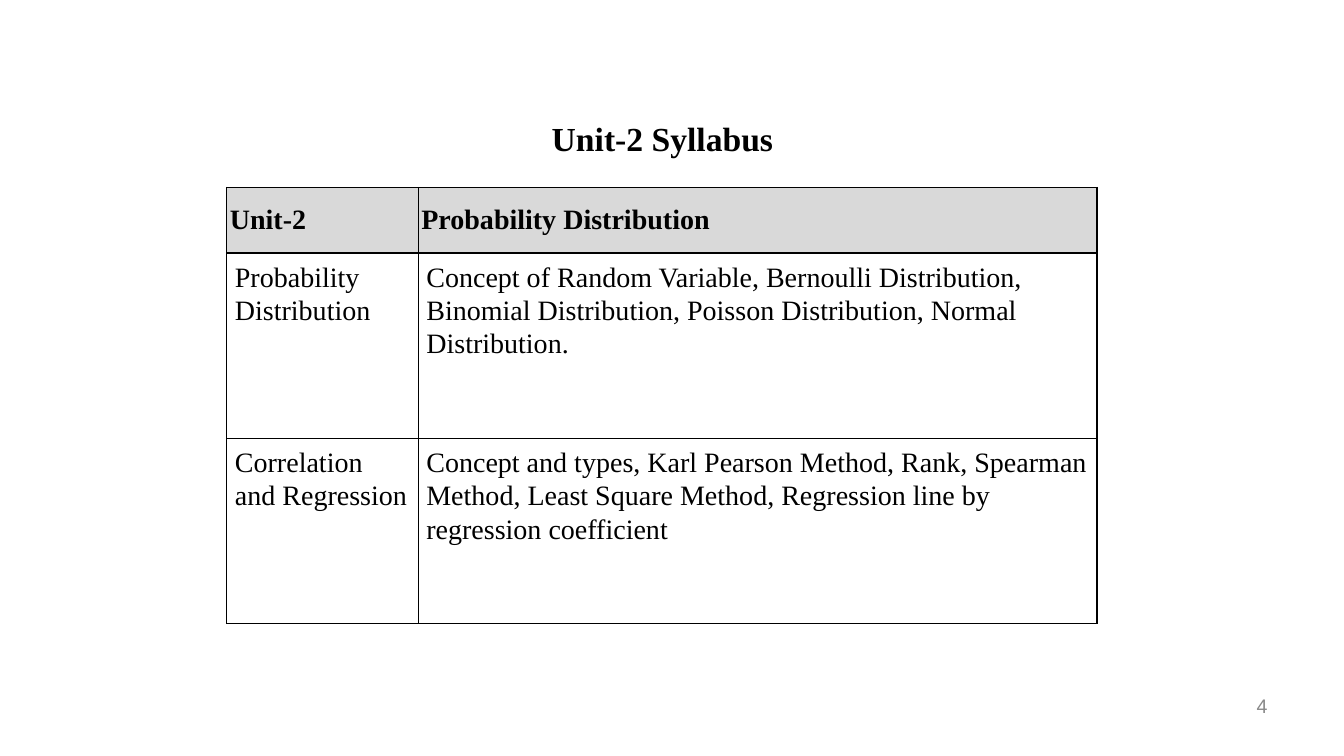
from lxml.etree import SubElement
from pptx import Presentation
from pptx.dml.color import RGBColor
from pptx.enum.text import MSO_ANCHOR as Anchor, PP_ALIGN as Align
from pptx.oxml.ns import qn
from pptx.util import Inches, Pt

COLORS = {"text": "000000", "border": "000000", "header": "D9D9D9", "number": "898989"}
SERIF, SANS = "Times New Roman", "Arial"
WIDTH, HEIGHT = 13.33, 7.5

SYLLABUS = [
    ("Unit-2", "Probability Distribution"),
    ("Probability Distribution",
     "Concept of Random Variable, Bernoulli Distribution, Binomial Distribution, "
     "Poisson Distribution, Normal Distribution."),
    ("Correlation and Regression",
     "Concept and types, Karl Pearson Method, Rank, Spearman Method, "
     "Least Square Method, Regression line by regression coefficient"),
]


class SlideBuilder:
    """Holds the style and the current slide; boxes are shares of the slide's size."""

    def __init__(self, prs):
        self.size = prs.slide_width, prs.slide_height
        self.slide = prs.slides.add_slide(prs.slide_layouts[5])

    def box(self, *shares):
        return [round(share * self.size[i % 2]) for i, share in enumerate(shares)]

    def set_text(self, tf, text, size, color="text", name=SERIF, bold=False, align=Align.LEFT):
        tf.word_wrap = True
        p = tf.paragraphs[0]
        p.text, p.alignment = text, align
        p.font.size, p.font.name, p.font.bold = Pt(size), name, bold
        p.font.color.rgb = RGBColor.from_string(COLORS[color])
        return p

    def title(self, text, *shares):
        sp = self.slide.shapes.title
        sp.left, sp.top, sp.width, sp.height = self.box(*shares)
        sp.text_frame.vertical_anchor = Anchor.MIDDLE
        self.set_text(sp.text_frame, text, 24, bold=True, align=Align.CENTER)

    def page_number(self, text, *shares):
        sp = self.slide.shapes.add_textbox(*self.box(*shares))
        self.set_text(sp.text_frame, text, 14, "number", SANS, align=Align.RIGHT)

    def table(self, rows, col_shares, row_shares, *shares):
        left, top, width, height = self.box(*shares)
        shape = self.slide.shapes.add_table(
            len(rows), len(col_shares), left, top, width, height)
        table = shape.table
        table.first_row = table.horz_banding = False
        for col, share in zip(table.columns, col_shares):
            col.width = round(width * share)
        for row, share in zip(table.rows, row_shares):
            row.height = round(height * share)
        for i, texts in enumerate(rows):
            for j, text in enumerate(texts):
                self.cell(table.cell(i, j), text, header=i == 0)

    def cell(self, cell, text, header):
        side, end = (0.03, 0.03) if header else (0.08, 0.07)
        cell.margin_left = cell.margin_right = Inches(side)
        cell.margin_top = cell.margin_bottom = Inches(end)
        cell.vertical_anchor = Anchor.MIDDLE if header else Anchor.TOP
        p = self.set_text(cell.text_frame, text, 20, bold=header,
                          align=Align.JUSTIFY if header else Align.LEFT)
        if not header:
            p.line_spacing, p.space_after = 1.07, Pt(8)
        self.borders(cell)
        if header:
            cell.fill.solid()
            cell.fill.fore_color.rgb = RGBColor.from_string(COLORS["header"])
        else:
            cell.fill.background()

    def borders(self, cell):
        tc_pr = cell._tc.get_or_add_tcPr()
        for edge in ("lnL", "lnR", "lnT", "lnB"):
            ln = SubElement(tc_pr, qn(f"a:{edge}"), w=str(Pt(1)))
            fill = SubElement(ln, qn("a:solidFill"))
            SubElement(fill, qn("a:srgbClr"), val=COLORS["border"])


def main():
    prs = Presentation()
    prs.slide_width, prs.slide_height = Inches(WIDTH), Inches(HEIGHT)
    builder = SlideBuilder(prs)
    builder.title("Unit-2 Syllabus",
                  2.26 / WIDTH, 1.02 / HEIGHT, 8.62 / WIDTH, 0.7 / HEIGHT)
    builder.page_number("4", 9.56 / WIDTH, 6.83 / HEIGHT, 3.11 / WIDTH, 0.52 / HEIGHT)
    builder.table(SYLLABUS, (0.22, 0.78), (0.15, 0.425, 0.425),
                  2.25 / WIDTH, 1.86 / HEIGHT, 8.63 / WIDTH, 4.33 / HEIGHT)
    prs.save("out.pptx")


if __name__ == "__main__":
    main()
